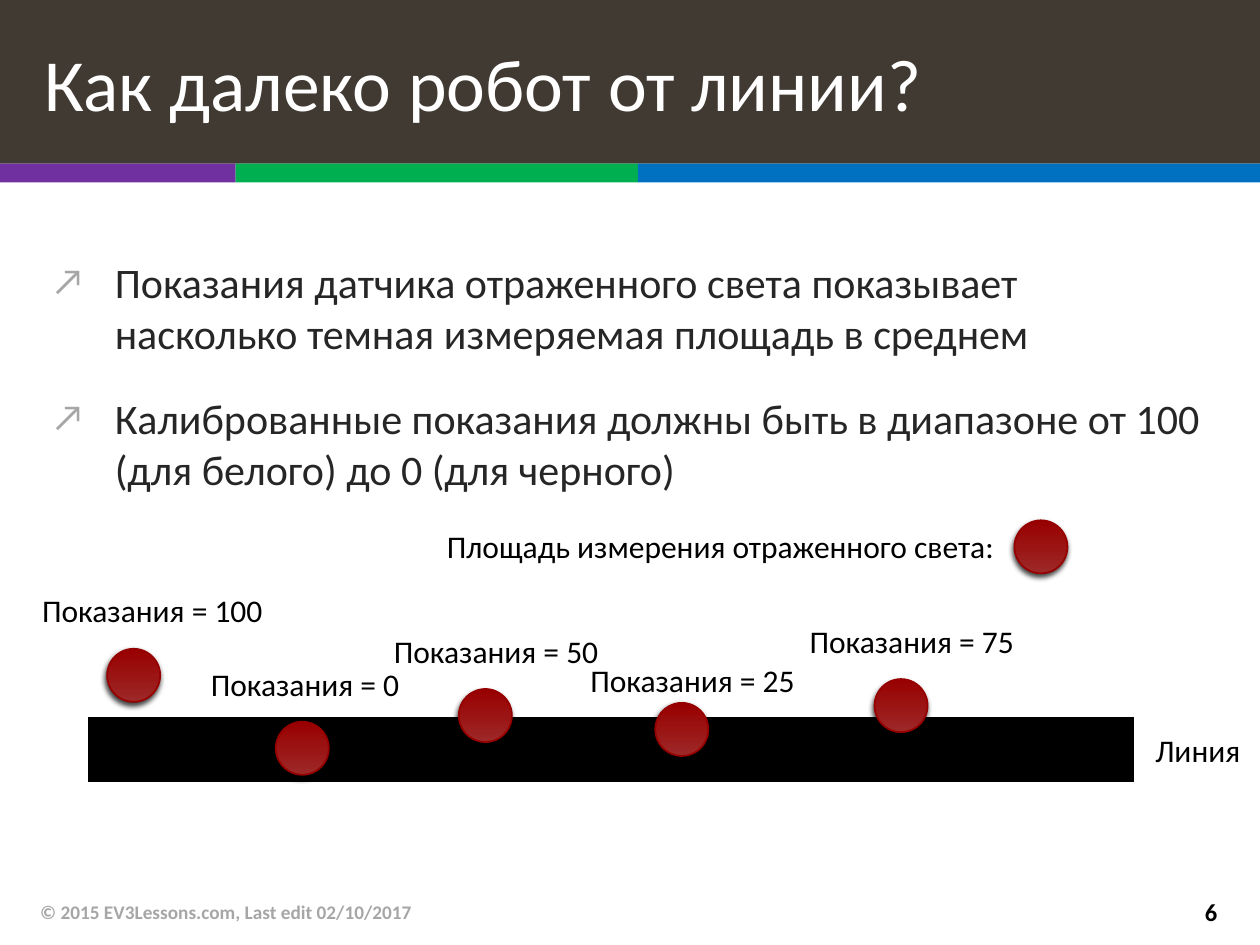
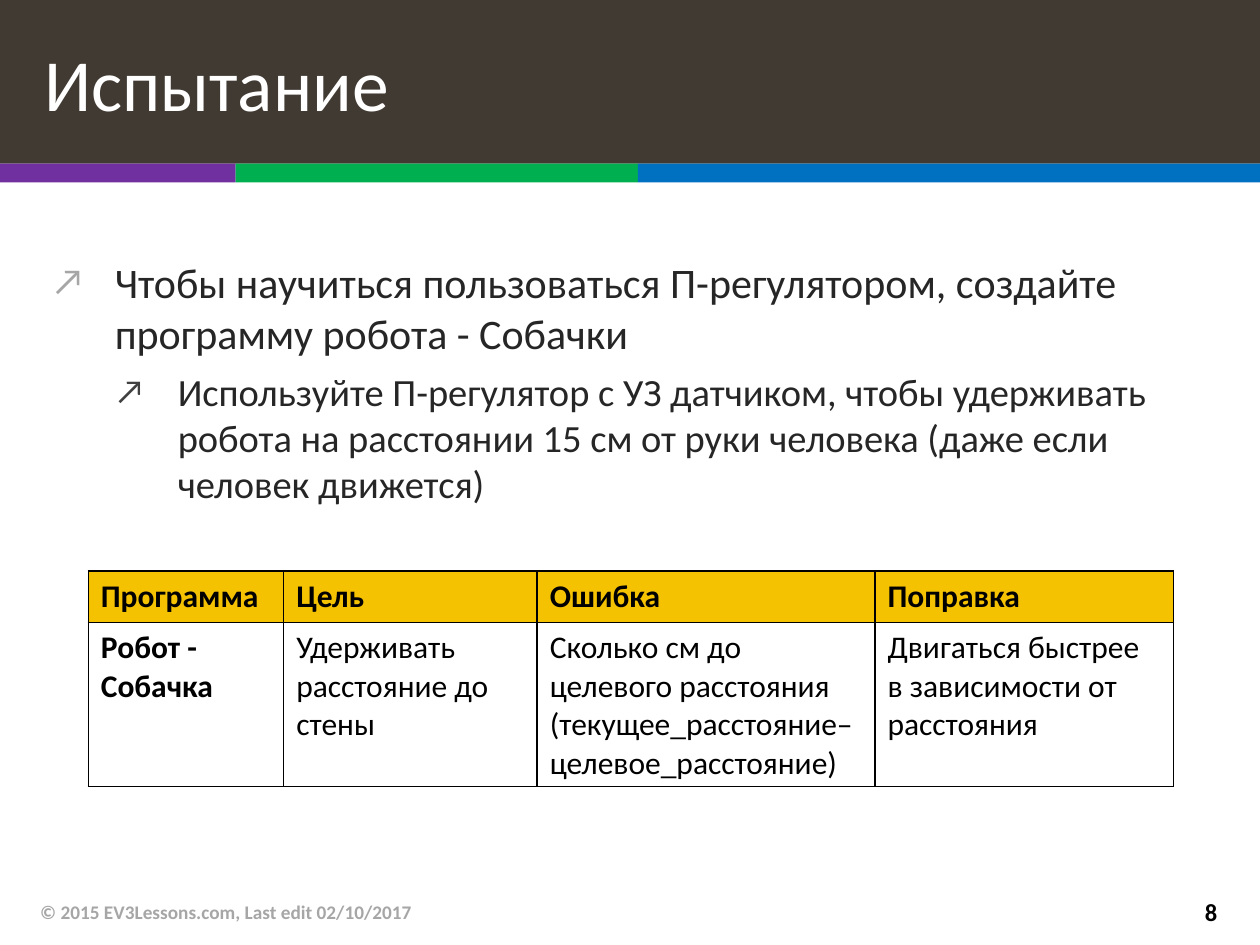
from dataclasses import dataclass
from lxml import etree
from pptx import Presentation
from pptx.dml.color import RGBColor
from pptx.enum.shapes import MSO_CONNECTOR, MSO_SHAPE
from pptx.enum.text import MSO_ANCHOR, MSO_AUTO_SIZE, PP_ALIGN
from pptx.oxml import parse_xml
from pptx.oxml.ns import qn
from pptx.util import Cm, Pt

RECTANGLE, OVAL = MSO_SHAPE.RECTANGLE, MSO_SHAPE.OVAL
STRAIGHT = MSO_CONNECTOR.STRAIGHT
MIDDLE, TOP = MSO_ANCHOR.MIDDLE, MSO_ANCHOR.TOP
LEFT, RIGHT = PP_ALIGN.LEFT, PP_ALIGN.RIGHT
NO_FIT = MSO_AUTO_SIZE.NONE
DRAWING = 'xmlns:a="http://schemas.openxmlformats.org/drawingml/2006/main"'


@dataclass(frozen=True)
class Theme:
    font: str = "Calibri"
    title_fill: str = "413A33"
    title_text: str = "FFFFFF"
    body_text: str = "262626"
    black: str = "000000"
    muted: str = "A6A6A6"
    header_fill: str = "F5C201"
    dot_stops: tuple = ("9D2828", "990000")
    dot_line: str = "960000"
    bullet_colors: tuple = ("A6A6A6", "404040")
    body_sizes: tuple = (24, 22)
    body_spacing: tuple = (20, 6)
    title_size: int = 42
    label_size: int = 18
    footer_size: int = 11
    number_size: int = 14


THEME = Theme()

FOOTER = "© 2015 EV3Lessons.com, Last edit 02/10/2017"
STRIPES = [("7030A0", 4.75), ("00B050", 8.11), ("0070C0", 12.54)]

DISTANCE_TITLE = "Как далеко робот от линии?"
DISTANCE_POINTS = [
    (0, "Показания датчика отраженного света показывает насколько темная "
        "измеряемая площадь в среднем"),
    (0, "Калиброванные показания должны быть в диапазоне от 100 (для белого) "
        "до 0 (для черного)"),
]
READINGS = [
    (100, 2.16, 13.08, 1.29, 5.0),
    (0, 5.56, 14.55, 1.27, 4.37),
    (50, 9.25, 13.89, 1.27, 4.67),
    (25, 13.21, 14.17, 0.97, 4.67),
    (75, 17.63, 13.69, 1.27, 4.67),
]
LEGEND = "Площадь измерения отраженного света:"
LINE_LABEL = "Линия"

CHALLENGE_TITLE = "Испытание"
CHALLENGE_POINTS = [
    (0, "Чтобы научиться пользоваться П-регулятором, создайте программу "
        "робота - Собачки"),
    (1, "Используйте П-регулятор с УЗ датчиком, чтобы удерживать робота на "
        "расстоянии 15 см от руки человека (даже если человек движется)"),
]
CHALLENGE_TABLE = [
    ("Программа", "Цель", "Ошибка", "Поправка"),
    ("Робот - Собачка",
     "Удерживать расстояние до стены",
     "Сколько см до целевого расстояния (текущее_расстояние– целевое_расстояние)",
     "Двигаться быстрее в зависимости от расстояния"),
]
COLUMN_WIDTHS = (3.94, 5.11, 6.81, 6.02)
ROW_HEIGHTS = (1.04, 3.3)

SLIDE_WIDTH, SLIDE_HEIGHT = 25.4, 19.05
TITLE_HEIGHT, STRIPE_HEIGHT = 3.3, 0.38
FOOTER_TOP = 17.88
DOT_SIZE = 1.07
LABEL_SHIFT = 1.56


def rgb(color):
    return RGBColor.from_string(color)


def box(left, top, width, height):
    return Cm(left), Cm(top), Cm(width), Cm(height)


def place(shape, left, top, width, height):
    shape.left, shape.top, shape.width, shape.height = box(left, top, width, height)


def style(paragraph, size, color, bold=False):
    font = paragraph.font
    font.name, font.size, font.bold = THEME.font, Pt(size), bold
    font.color.rgb = rgb(color)


def add_label(slide, text, area, size=THEME.label_size, color=THEME.black,
              bold=False, anchor=TOP, align=LEFT, wrap=False):
    frame = slide.shapes.add_textbox(*box(*area)).text_frame
    frame.word_wrap = wrap
    frame.vertical_anchor = anchor
    paragraph = frame.paragraphs[0]
    paragraph.text = text
    paragraph.alignment = align
    style(paragraph, size, color, bold)


def add_bullet(paragraph, level):
    properties = paragraph._p.get_or_add_pPr()
    properties.set("marL", str(Cm(1.27 * (level + 1))))
    properties.set("indent", str(Cm(-1.27)))
    for element in (
        f'<a:buClr {DRAWING}><a:srgbClr val="{THEME.bullet_colors[level]}"/></a:buClr>',
        f'<a:buSzPct {DRAWING} val="90000"/>',
        f'<a:buFont {DRAWING} typeface="{THEME.font}"/>',
        f'<a:buChar {DRAWING} char="↗"/>',
    ):
        properties.append(parse_xml(element))


def fill_title(title, text):
    place(title, 0, 0, SLIDE_WIDTH, TITLE_HEIGHT)
    title.fill.solid()
    title.fill.fore_color.rgb = rgb(THEME.title_fill)
    frame = title.text_frame
    frame.auto_size = NO_FIT
    frame.vertical_anchor = MIDDLE
    frame.margin_left = Cm(0.89)
    paragraph = frame.paragraphs[0]
    paragraph.text = text
    paragraph.alignment = LEFT
    style(paragraph, THEME.title_size, THEME.title_text)


def fill_body(body, points):
    place(body, 0.79, 5.05, 23.83, 11.96)
    frame = body.text_frame
    frame.auto_size = NO_FIT
    frame.vertical_anchor = TOP
    for index, (level, text) in enumerate(points):
        paragraph = frame.add_paragraph() if index else frame.paragraphs[0]
        paragraph.text = text
        paragraph.level = level
        paragraph.space_before = Pt(THEME.body_spacing[level] if index else 0)
        add_bullet(paragraph, level)
        style(paragraph, THEME.body_sizes[level], THEME.body_text)


def add_stripes(slide):
    left = 0
    for color, width in STRIPES:
        stripe = slide.shapes.add_shape(
            RECTANGLE, *box(left, TITLE_HEIGHT, width, STRIPE_HEIGHT))
        stripe.shadow.inherit = False
        stripe.fill.solid()
        stripe.fill.fore_color.rgb = rgb(color)
        stripe.line.fill.background()
        left += width


def add_lesson_slide(presentation, title, points, number):
    slide = presentation.slides.add_slide(presentation.slide_layouts[1])
    fill_title(slide.shapes.title, title)
    fill_body(slide.placeholders[1], points)
    add_stripes(slide)
    add_label(slide, FOOTER, (0.56, FOOTER_TOP, 17.02, 1.02), THEME.footer_size,
              THEME.muted, True, MIDDLE, wrap=True)
    add_label(slide, str(number), (23.04, FOOTER_TOP, 1.75, 1), THEME.number_size,
              THEME.black, True, MIDDLE, RIGHT, True)
    return slide


def add_dot(slide, left, top):
    dot = slide.shapes.add_shape(OVAL, *box(left, top, DOT_SIZE, DOT_SIZE))
    dot.fill.gradient()
    dot.fill.gradient_angle = 90
    for stop, color in zip(dot.fill.gradient_stops, THEME.dot_stops):
        stop.color.rgb = rgb(color)
    dot.line.color.rgb = rgb(THEME.dot_line)
    dot.line.width = Pt(1)
    dot.shadow.inherit = False
    dot._element.spPr.find(qn("a:effectLst")).append(parse_xml(
        f'<a:outerShdw {DRAWING} blurRad="{Pt(3)}" dist="{Pt(2)}" dir="{110 * 60000}" '
        f'rotWithShape="0"><a:srgbClr val="{THEME.black}"><a:alpha val="75000"/>'
        '</a:srgbClr></a:outerShdw>'))


def add_readings(slide):
    line = slide.shapes.add_connector(
        STRAIGHT, Cm(1.78), Cm(15.11), Cm(22.86), Cm(15.11))
    line.line.color.rgb = rgb(THEME.black)
    line.line.width = Pt(36.75)
    etree.SubElement(line._element.spPr, qn("a:effectLst"))
    add_label(slide, LINE_LABEL, (23.04, 14.61, 2.24, 1.02))
    add_dot(slide, 20.45, 10.49)
    add_label(slide, LEGEND, (8.76, 10.49, 11.68, 1.02))
    for value, left, top, rise, width in READINGS:
        add_dot(slide, left, top)
        add_label(slide, f"Показания = {value}",
                  (left - LABEL_SHIFT, top - rise, width, 1.02))


def add_borders(cell):
    properties = cell._tc.get_or_add_tcPr()
    for index, side in enumerate(("lnL", "lnR", "lnT", "lnB")):
        properties.insert(index, parse_xml(
            f'<a:{side} {DRAWING} w="{Pt(1)}"><a:solidFill>'
            f'<a:srgbClr val="{THEME.black}"/></a:solidFill></a:{side}>'))


def add_challenge_table(slide):
    table = slide.shapes.add_table(
        len(CHALLENGE_TABLE), len(COLUMN_WIDTHS),
        *box(1.78, 11.51, sum(COLUMN_WIDTHS), sum(ROW_HEIGHTS))).table
    for column, width in zip(table.columns, COLUMN_WIDTHS):
        column.width = Cm(width)
    for row, height in zip(table.rows, ROW_HEIGHTS):
        row.height = Cm(height)
    for row_index, texts in enumerate(CHALLENGE_TABLE):
        for column_index, text in enumerate(texts):
            cell = table.cell(row_index, column_index)
            cell.text = text
            if row_index == 0:
                cell.fill.solid()
                cell.fill.fore_color.rgb = rgb(THEME.header_fill)
            else:
                cell.fill.background()
            add_borders(cell)
            style(cell.text_frame.paragraphs[0], THEME.label_size, THEME.black,
                  row_index == 0 or column_index == 0)


def main():
    presentation = Presentation()
    presentation.slide_width = Cm(SLIDE_WIDTH)
    presentation.slide_height = Cm(SLIDE_HEIGHT)
    add_readings(add_lesson_slide(presentation, DISTANCE_TITLE, DISTANCE_POINTS, 6))
    add_challenge_table(
        add_lesson_slide(presentation, CHALLENGE_TITLE, CHALLENGE_POINTS, 8))
    presentation.save("out.pptx")


if __name__ == "__main__":
    main()
